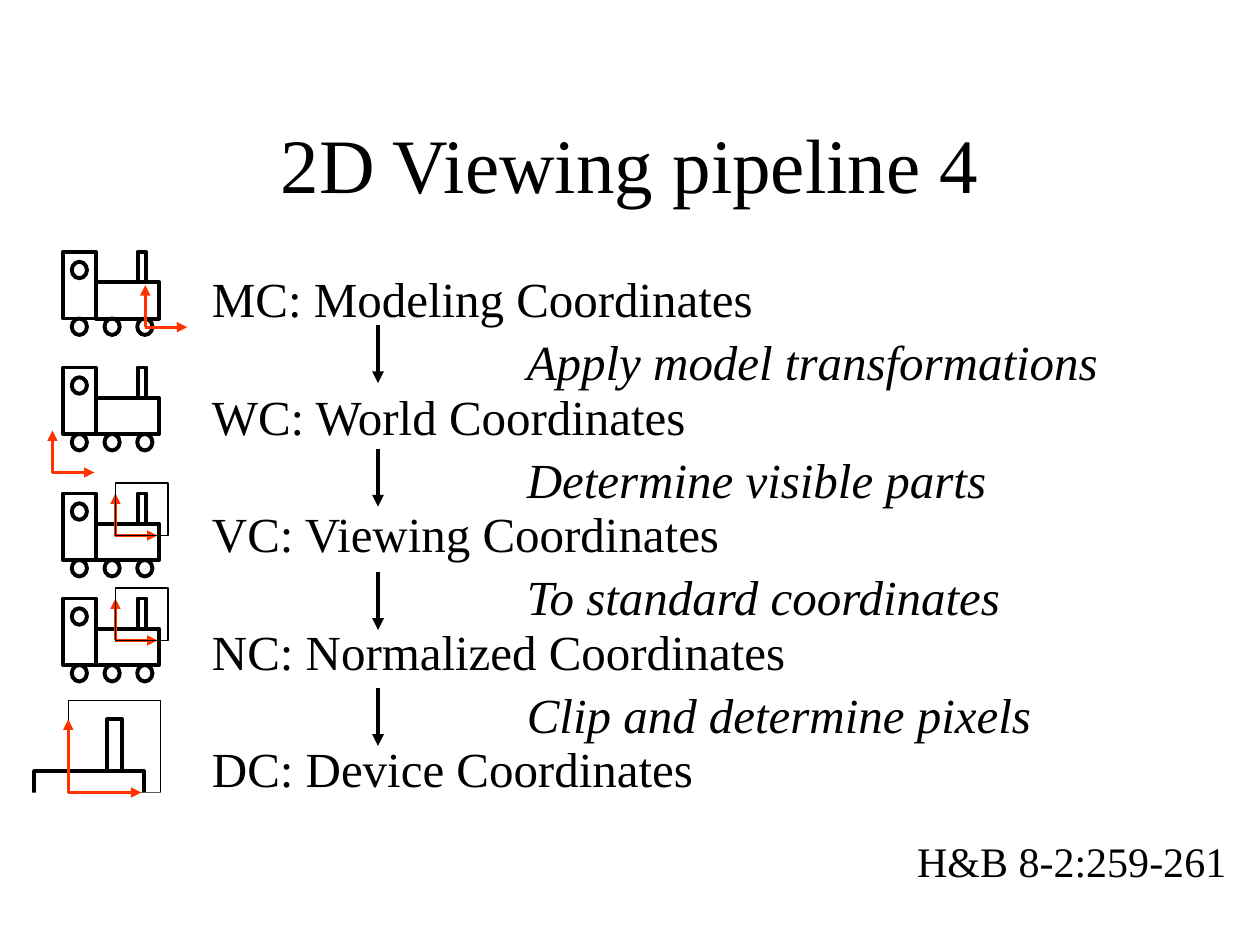
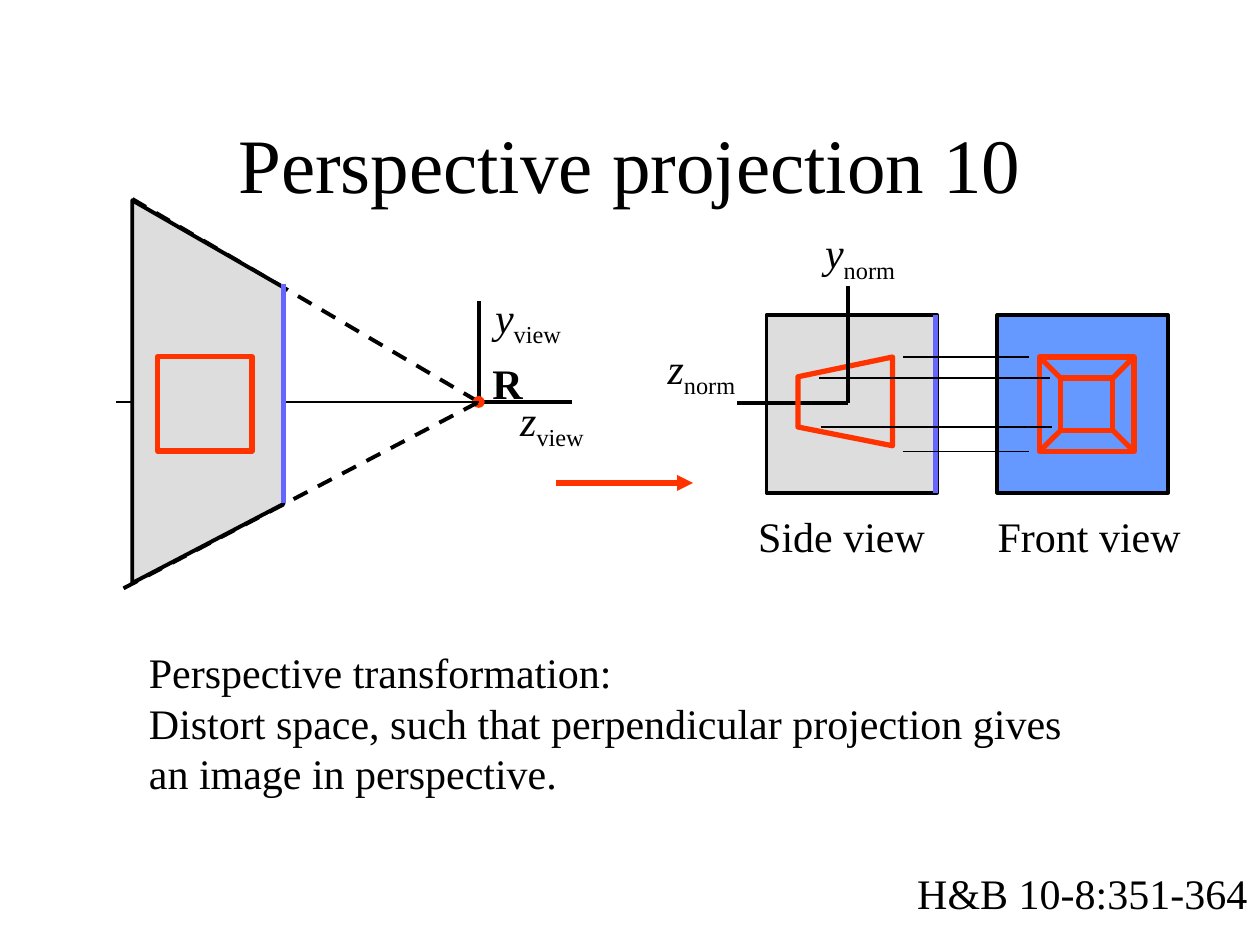
from pptx import Presentation
from pptx import util as u
from pptx.dml.color import RGBColor
from pptx.enum import dml, shapes, text
from pptx.oxml.ns import qn
from lxml import etree

Pt = u.Pt
FONT = "Times New Roman"
C = {
    "ink": "000000",
    "paper": "FFFFFF",
    "accent": "FF3300",
    "volume": "DDDDDD",
    "front": "6699FF",
    "plane": "6666FF",
}
RECT = shapes.MSO_SHAPE.RECTANGLE
OVAL = shapes.MSO_SHAPE.OVAL
TITLE_SIZE, STEP_SIZE, BODY_SIZE = 44, 28, 24
LINE_RATIO = 1.2


def rgb(name):
    return RGBColor.from_string(C[name])


def style(sp, fill, line, weight):
    sp.shadow.inherit = False
    if fill:
        sp.fill.solid()
        sp.fill.fore_color.rgb = rgb(fill)
    else:
        sp.fill.background()
    if line:
        sp.line.color.rgb = rgb(line)
        sp.line.width = Pt(weight)
    else:
        sp.line.fill.background()


def shape(s, kind, x, y, w, h, fill=None, line="ink", weight=2.25):
    sp = s.shapes.add_shape(kind, Pt(x), Pt(y), Pt(w), Pt(h))
    style(sp, fill, line, weight)


def polygon(s, points, fill=None, line="ink", weight=2.25):
    start, *rest = [(Pt(x), Pt(y)) for x, y in points]
    fb = s.shapes.build_freeform(*start)
    fb.add_line_segments(rest, close=True)
    style(fb.convert_to_shape(), fill, line, weight)


def line(s, x1, y1, x2, y2, color="ink", weight=2.25, arrow=False, dash=False):
    cn = s.shapes.add_connector(
        shapes.MSO_CONNECTOR.STRAIGHT, Pt(x1), Pt(y1), Pt(x2), Pt(y2))
    cn.line.color.rgb = rgb(color)
    cn.line.width = Pt(weight)
    if dash:
        cn.line.dash_style = dml.MSO_LINE.DASH
    if arrow:
        ln = cn.line._get_or_add_ln()
        etree.SubElement(ln, qn("a:tailEnd"), type="triangle")
    etree.SubElement(cn._element.spPr, qn("a:effectLst"))


def textbox(s, x, y, w, h, lines, size=BODY_SIZE, gap=0, wrap=False,
            bold=False, italic=False):
    tf = s.shapes.add_textbox(Pt(x), Pt(y), Pt(w), Pt(h)).text_frame
    tf.word_wrap = wrap
    for i, content in enumerate(lines):
        p = tf.paragraphs[0] if i == 0 else tf.add_paragraph()
        p.text = content
        p.line_spacing = Pt(size * LINE_RATIO)
        if i and gap:
            p.space_before = Pt(gap)
        p.font.name = FONT
        p.font.size = Pt(size)
        p.font.color.rgb = rgb("ink")
        p.font.bold = bold
        p.font.italic = italic
    return tf


def title(s, content):
    tf = textbox(s, 54, 48, 612, 90, [content], TITLE_SIZE, wrap=True)
    tf.vertical_anchor = text.MSO_ANCHOR.MIDDLE
    tf.paragraphs[0].alignment = text.PP_ALIGN.CENTER


def reference(s, y, w, content):
    textbox(s, 517, y, w, 36, [content])


def axis_label(s, x, y, axis, space):
    p = textbox(s, x, y, 64, 40, [axis], wrap=True).paragraphs[0]
    p.runs[0].font.italic = True
    r = p.add_run()
    r.text = space
    r.font._element.set("baseline", "-25000")


def axes(s, x, y, length):
    line(s, x, y, x + length, y, "accent", 1.5, arrow=True)
    line(s, x, y, x, y - length, "accent", 1.5, arrow=True)


def train(s, x, y, origin, window=False):
    shape(s, RECT, x + 18.9, y + 17.2, 36, 20.9)
    shape(s, RECT, x, y, 18.9, 38)
    shape(s, RECT, x + 42.7, y, 5, 17.2)
    for dx, dy in [(5, 38), (23.7, 38), (42.4, 38), (5, 5.6)]:
        shape(s, OVAL, x + dx, y + dy, 8.7, 9.4)
    ox, oy = origin
    axes(s, x + ox, y + oy, 24)
    if window:
        shape(s, RECT, x + ox, y + oy - 30, 30, 30, weight=0.75)


def device_view(s, x, y):
    size = 52.6
    shape(s, RECT, x - 19.5, y + 40.3, 62.6, 36.7)
    shape(s, RECT, x + 22.3, y + 10.8, 8.6, 29.5)
    shape(s, RECT, x, y, size, size, weight=0.75)
    shape(s, RECT, x - 38.9, y + size, 141, size, "paper", None)
    axes(s, x, y + size, 41.8)


def pipeline_steps(s, x, y):
    blank_line = STEP_SIZE * LINE_RATIO
    textbox(s, x, y, 444, 310, [
        "MC: Modeling Coordinates",
        "WC: World Coordinates",
        "VC: Viewing Coordinates",
        "NC: Normalized Coordinates",
        "DC: Device Coordinates",
    ], STEP_SIZE, blank_line, wrap=True)
    for dy in (36, 106.5, 177, 243.3):
        line(s, x + 102, y + dy, x + 102, y + dy + 33, arrow=True)
    textbox(s, x + 180, y + 36, 360, 266, [
        "Apply model transformations",
        "Determine visible parts",
        "To standard coordinates",
        "Clip and determine pixels",
    ], STEP_SIZE, blank_line, wrap=True, italic=True)


def pipeline_slide(s):
    title(s, "2D Viewing pipeline 4")
    pipeline_steps(s, 114, 150)
    train(s, 36, 144, (47, 43))
    train(s, 36, 210, (-6, 60))
    train(s, 36, 282, (30, 24), window=True)
    train(s, 36, 342, (30, 24), window=True)
    device_view(s, 39, 400.3)
    reference(s, 474, 191, "H&B 8-2:259-261")


def view_volume(s, x, y):
    near, far = x - 111.6, x - 198
    line(s, far, y - 116, x, y, dash=True)
    line(s, x, y, x + 53.4, y)
    line(s, x, y, x, y - 57.6)
    axis_label(s, x + 2.2, y - 63, "y", "view")
    textbox(s, x + 0.7, y - 29, 32, 36, ["R"], bold=True)
    shape(s, OVAL, x - 3.4, y - 3.4, 6.8, 6.8, "accent", None)
    line(s, x - 207.4, y, x, y, weight=1)
    line(s, x - 203, y + 106.5, x, y, dash=True)
    polygon(s, [(far, y + 103.5), (far, y - 115.2),
                (near, y - 65.5), (near, y + 58.3)], "volume")
    axis_label(s, x + 16.6, y - 4, "z", "view")
    line(s, near, y - 67.7, near, y + 57.6, "plane", 3)
    shape(s, RECT, x - 183.6, y - 25.9, 54, 54, "volume", "accent", 3)


def front_view(s, x, y, w, h):
    shape(s, RECT, x, y, w, h, "front")
    outer, inner, inset = 54, 30, 12
    left, top = x + 24, y + 24
    shape(s, RECT, left, top, outer, outer, None, "accent", 3)
    shape(s, RECT, left + inset, top + inset, inner, inner, None, "accent", 3)
    for a, b in [(0, inset), (outer, inset + inner)]:
        for c, d in [(0, inset), (outer, inset + inner)]:
            line(s, left + a, top + c, left + b, top + d, "accent", 3)
    textbox(s, x - 7, y + 108, 119, 36, ["Front view"])


def side_view(s, x, y, w, h):
    shape(s, RECT, x, y, w, h, "volume")
    ox, oy = x + 46.8, y + 50.5
    axis_label(s, x - 63.6, y + 16, "z", "norm")
    line(s, x - 16.6, oy, ox, oy)
    axis_label(s, x + 26.4, y - 50, "y", "norm")
    polygon(s, [(x + 72, y + 74.7), (x + 72, y + 24),
                (x + 18, y + 35.3), (x + 18, y + 64)], None, "accent", 3)
    line(s, ox, oy, ox, y - 16.5)
    line(s, x + 96.4, y, x + 96.4, y + h, "plane", 3)
    textbox(s, x - 11.8, y + 108, 110, 36, ["Side view"])


def projectors(s, x, y):
    for dx, dy, length in [(48, 24, 72), (48, 78, 72),
                           (0, 36, 132), (1, 64, 132)]:
        line(s, x + dx, y + dy, x + dx + length, y + dy, weight=0.75)


def perspective_slide(s):
    title(s, "Perspective projection 10")
    view_volume(s, 273.6, 229.7)
    line(s, 318, 276, 396, 276, "accent", 3, arrow=True)
    front_view(s, 570, 180, 97.5, 101.5)
    side_view(s, 438, 180, 97.5, 101.5)
    projectors(s, 468, 180)
    textbox(s, 78, 366, 542, 94, [
        "Perspective transformation:",
        "Distort space, such that perpendicular projection gives",
        "an image in perspective.",
    ], wrap=True)
    reference(s, 492, 203, "H&B 10-8:351-364")


def main():
    prs = Presentation()
    prs.slide_width, prs.slide_height = Pt(720), Pt(540)
    for build in (pipeline_slide, perspective_slide):
        build(prs.slides.add_slide(prs.slide_layouts[6]))
    prs.save("out.pptx")


if __name__ == "__main__":
    main()
